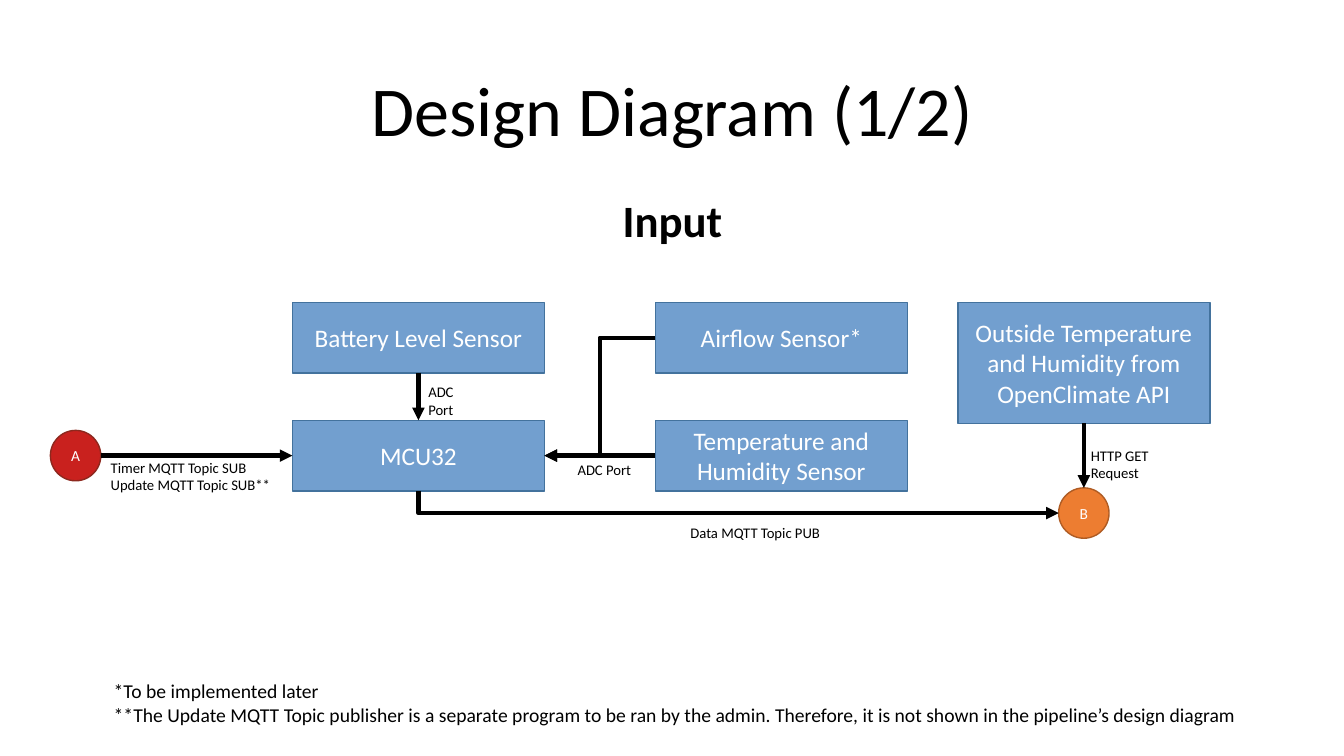
from pptx import Presentation
from pptx.dml.color import RGBColor
from pptx.enum.shapes import MSO_CONNECTOR, MSO_SHAPE
from pptx.enum.text import MSO_ANCHOR, PP_ALIGN
from pptx.oxml.ns import qn
from pptx.util import Inches, Pt
from lxml import etree

BLACK = RGBColor(0x00, 0x00, 0x00)
WHITE = RGBColor(0xFF, 0xFF, 0xFF)
BLUE, BLUE_EDGE = RGBColor(0x72, 0x9F, 0xCF), RGBColor(0x43, 0x72, 0x9D)
RED, RED_EDGE = RGBColor(0xC9, 0x21, 0x1E), RGBColor(0x8D, 0x28, 0x1E)
ORANGE, ORANGE_EDGE = RGBColor(0xED, 0x7D, 0x31), RGBColor(0xAF, 0x5C, 0x24)

PROCESS, OVAL = MSO_SHAPE.FLOWCHART_PROCESS, MSO_SHAPE.OVAL
STRAIGHT, ELBOW = MSO_CONNECTOR.STRAIGHT, MSO_CONNECTOR.ELBOW
LEFT, CENTER = PP_ALIGN.LEFT, PP_ALIGN.CENTER
TOP, MIDDLE = MSO_ANCHOR.TOP, MSO_ANCHOR.MIDDLE
TOP_SIDE, LEFT_SIDE, BOTTOM_SIDE, RIGHT_SIDE = range(4)

BOX_WIDTH, BOX_HEIGHT, CIRCLE_SIZE = 2.5, 0.7, 0.5


def write(shape, text, size, color=BLACK, align=LEFT, anchor=TOP, bold=False):
    """Fill the shape with text; a line feed starts a paragraph, \\v breaks a line."""
    frame = shape.text_frame
    frame.word_wrap = True
    frame.vertical_anchor = anchor
    frame.text = text
    font_format = {"name": "Calibri", "size": Pt(size), "bold": bold}
    for paragraph in frame.paragraphs:
        paragraph.alignment = align
        for run in paragraph.runs:
            for name, value in font_format.items():
                setattr(run.font, name, value)
            run.font.color.rgb = color
    return frame


def add_text(slide, box, text, size, **options):
    shape = slide.shapes.add_textbox(*map(Inches, box))
    return write(shape, text, size, **options)


def add_node(slide, kind, box, text, size, fill, edge):
    shape = slide.shapes.add_shape(kind, *map(Inches, box))
    shape.shadow.inherit = False
    shape.fill.solid()
    shape.fill.fore_color.rgb = fill
    shape.line.color.rgb = edge
    shape.line.width = Pt(1)
    write(shape, text, size, WHITE, CENTER, MIDDLE)
    return shape


def add_process(slide, left, top, text, height=BOX_HEIGHT):
    box = (left, top, BOX_WIDTH, height)
    return add_node(slide, PROCESS, box, text, 18, BLUE, BLUE_EDGE)


def add_circle(slide, left, top, letter, fill, edge):
    box = (left, top, CIRCLE_SIZE, CIRCLE_SIZE)
    return add_node(slide, OVAL, box, letter, 11, fill, edge)


def add_arrow(slide, kind, start, end):
    """Draw a black arrow between two points given in EMU."""
    arrow = slide.shapes.add_connector(kind, *start, *end)
    arrow.line.color.rgb = BLACK
    arrow.line.width = Pt(3)
    line = arrow.line._get_or_add_ln()
    etree.SubElement(line, qn("a:tailEnd"), type="triangle")
    etree.SubElement(arrow._element.spPr, qn("a:effectLst"))
    return arrow


def join(slide, kind, source, source_side, target, target_side):
    arrow = add_arrow(slide, kind, (0, 0), (0, 0))
    arrow.begin_connect(source, source_side)
    arrow.end_connect(target, target_side)


def add_down_then_right_arrow(slide, start, end):
    """Draw a one-corner elbow: a flipped bentConnector2 turned by 270 degrees."""
    middle_x, middle_y = (start[0] + end[0]) // 2, (start[1] + end[1]) // 2
    half_run, half_drop = (end[0] - start[0]) // 2, (end[1] - start[1]) // 2
    arrow = add_arrow(slide, ELBOW,
                      (middle_x + half_drop, middle_y - half_run),
                      (middle_x - half_drop, middle_y + half_run))
    properties = arrow._element.spPr
    properties.find(qn("a:xfrm")).set("rot", str(270 * 60000))
    properties.find(qn("a:prstGeom")).set("prst", "bentConnector2")


def add_heading(slide, left, top, width):
    title = add_text(slide, (left, top, width, 1.45), "Design Diagram (1/2)", 50,
                     align=CENTER, anchor=MIDDLE)
    for side in ("left", "top", "right", "bottom"):
        setattr(title, f"margin_{side}", 0)
    title.paragraphs[0].line_spacing = 0.9
    add_text(slide, (left, top + 1.46, width, 0.63), "Input", 32,
             align=CENTER, bold=True)


def add_diagram(slide, left, top):
    lower = top + 1.17
    first, second, third = left + 2.4, left + 6, left + 9
    circle_b_left = third + (BOX_WIDTH - CIRCLE_SIZE) / 2

    battery = add_process(slide, first, top, "Battery Level Sensor")
    controller = add_process(slide, first, lower, "MCU32")
    airflow = add_process(slide, second, top, "Airflow Sensor*")
    climate = add_process(slide, second, lower, "Temperature and Humidity Sensor")
    weather = add_process(
        slide, third, top,
        "Outside Temperature\nand Humidity from OpenClimate API", 1.2)
    circle_a = add_circle(slide, left, lower + 0.1, "A", RED, RED_EDGE)
    circle_b = add_circle(slide, circle_b_left, top + 1.84, "B", ORANGE, ORANGE_EDGE)

    join(slide, STRAIGHT, battery, BOTTOM_SIDE, controller, TOP_SIDE)
    join(slide, ELBOW, airflow, LEFT_SIDE, controller, RIGHT_SIDE)
    join(slide, STRAIGHT, climate, LEFT_SIDE, controller, RIGHT_SIDE)
    join(slide, STRAIGHT, weather, BOTTOM_SIDE, circle_b, TOP_SIDE)

    middle_y = circle_a.top + circle_a.height // 2
    input_arrow = add_arrow(slide, STRAIGHT,
                            (circle_a.left + circle_a.width, middle_y),
                            (controller.left, middle_y))
    input_arrow.end_connect(controller, LEFT_SIDE)
    add_down_then_right_arrow(
        slide,
        (controller.left + controller.width // 2, controller.top + controller.height),
        (circle_b.left, circle_b.top + circle_b.height // 2))

    labels = [
        (3.65, 0.75, 0.6, "ADC Port"),
        (5.13, 1.52, 0.85, "ADC Port"),
        (6.25, 2.15, 1.7, "Data MQTT Topic PUB"),
        (10.22, 1.38, 0.95, "HTTP GET Request"),
        (0.5, 1.5, 1.9, "Timer MQTT Topic SUB\vUpdate MQTT Topic SUB**"),
    ]
    for offset_x, offset_y, width, text in labels:
        add_text(slide, (left + offset_x, top + offset_y, width, 0.45), text, 10.5)


def add_footnotes(slide, left, top, width):
    add_text(slide, (left, top, width, 0.57),
             "*To be implemented later\v"
             "**The Update MQTT Topic publisher is a separate program to be ran by "
             "the admin. Therefore, it is not shown in the pipeline’s design diagram",
             14)


def main():
    presentation = Presentation()
    presentation.slide_width = Inches(13.33)
    presentation.slide_height = Inches(7.5)
    slide = presentation.slides.add_slide(presentation.slide_layouts[6])
    add_heading(slide, 0.92, 0.4, 11.5)
    add_diagram(slide, 0.5, 3)
    add_footnotes(slide, 1.03, 6.69, 11.6)
    presentation.save("out.pptx")


if __name__ == "__main__":
    main()
